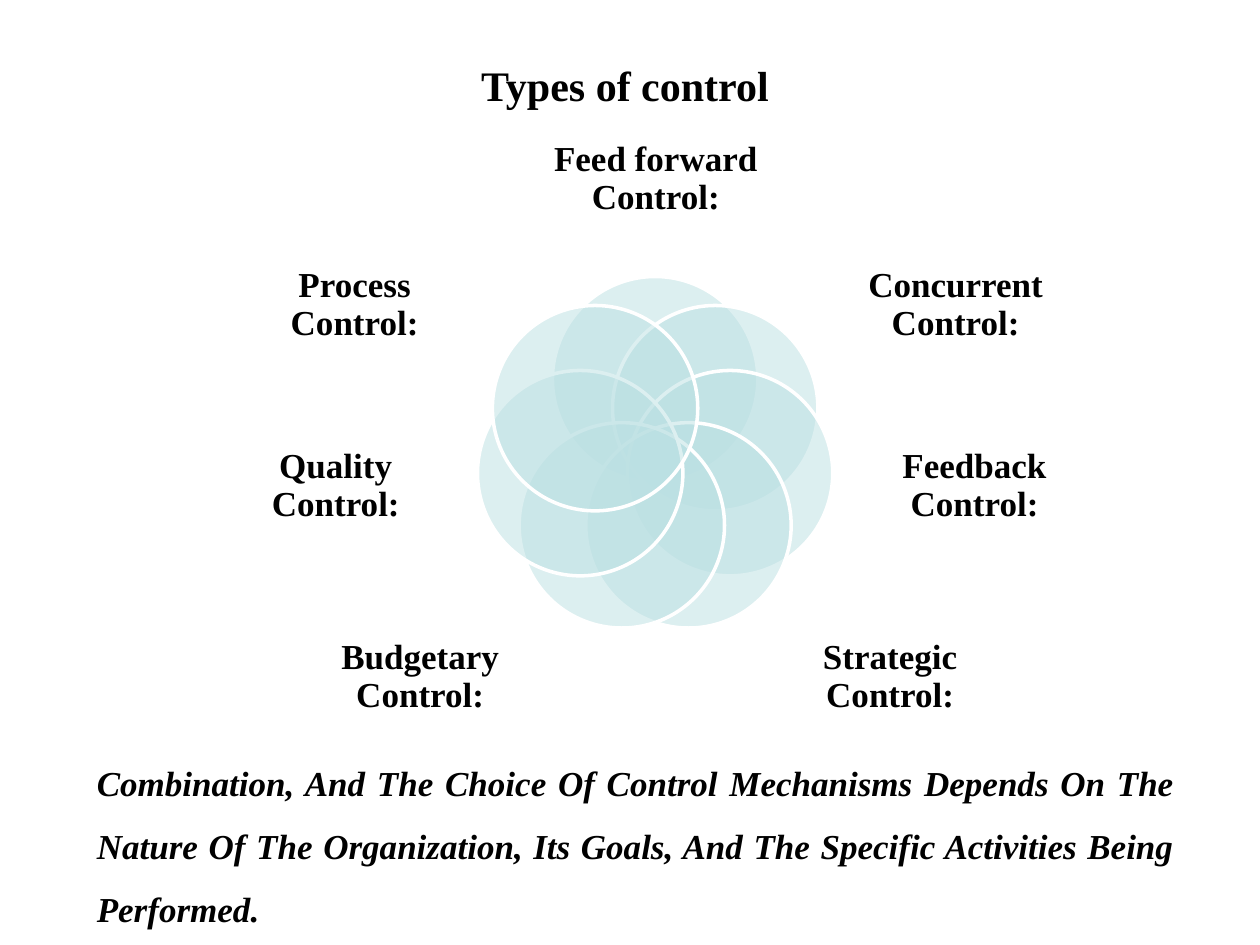
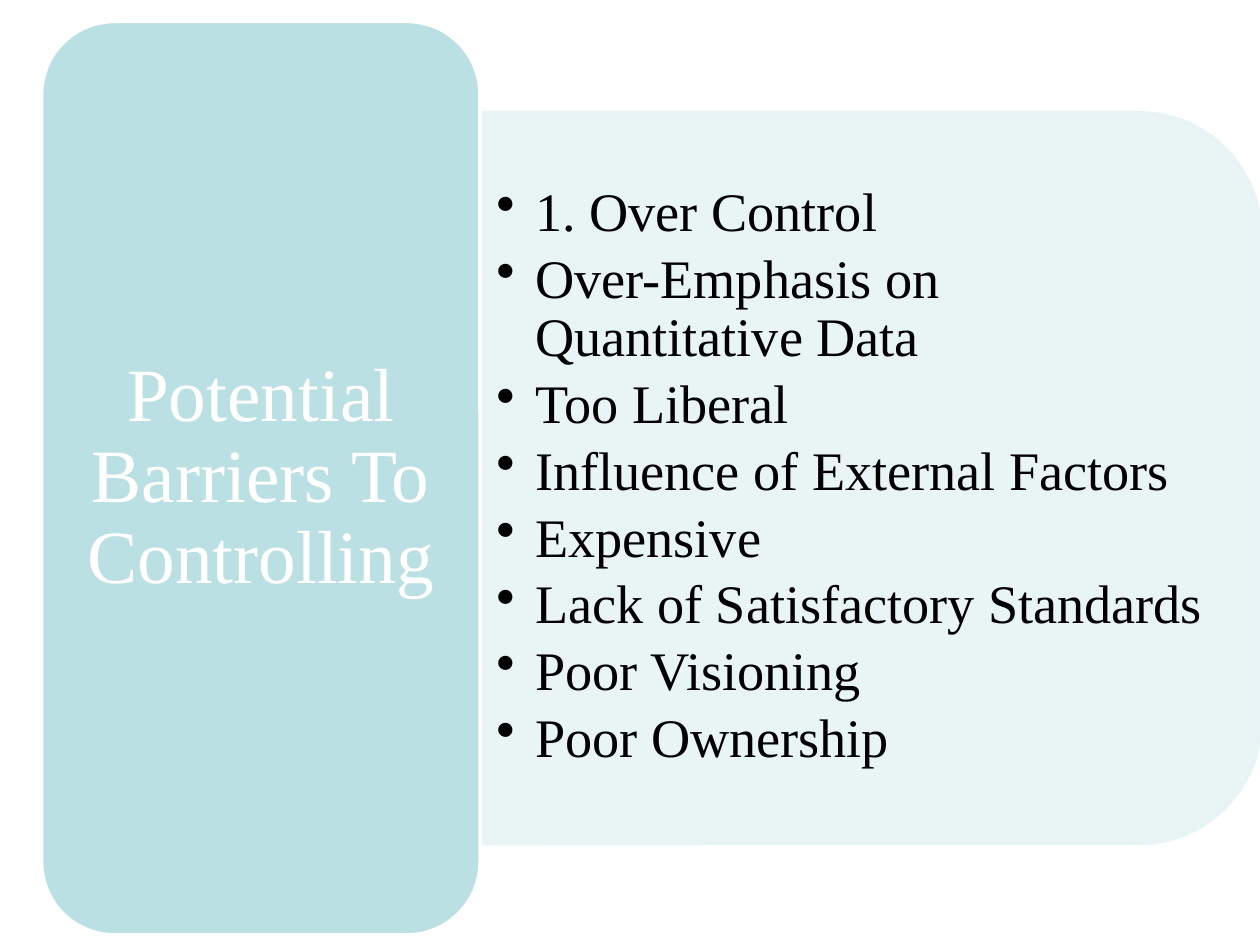
import math
from dataclasses import dataclass

from lxml import etree
from pptx import Presentation
from pptx.dml.color import RGBColor
from pptx.enum import shapes, text
from pptx.oxml.ns import qn
from pptx.util import Inches, Pt


@dataclass(frozen=True)
class Theme:
    font: str = "Times New Roman"
    ink: str = "000000"
    white: str = "FFFFFF"
    aqua: str = "BBE0E3"
    mist: str = "E7F3F4"
    title: int = 24
    body: int = 20
    bullets: int = 31
    panel: int = 43
    outline: int = 2
    tight: float = 0.9


theme = Theme()
Kind = shapes.MSO_SHAPE
Align = text.PP_ALIGN


def add_text(page, lines, place, *, size, color=theme.ink, bold=False, italic=False,
             align=Align.CENTER, spacing=1.0, after=0, middle=True,
             insets=(0, 0), indent=0, grow=False):
    """Add a text box; insets are (horizontal, vertical), a nonzero indent adds bullets."""
    box = page.shapes.add_textbox(*map(Inches, place))
    frame = box.text_frame
    frame.word_wrap = True
    frame.auto_size = text.MSO_AUTO_SIZE.SHAPE_TO_FIT_TEXT if grow else text.MSO_AUTO_SIZE.NONE
    frame.vertical_anchor = text.MSO_ANCHOR.MIDDLE if middle else text.MSO_ANCHOR.TOP
    frame.margin_left = frame.margin_right = Inches(insets[0])
    frame.margin_top = frame.margin_bottom = Inches(insets[1])
    for index, line in enumerate(lines):
        para = frame.paragraphs[0] if index == 0 else frame.add_paragraph()
        para.alignment = align
        para.line_spacing = spacing
        para.space_after = Pt(after)
        span = para.add_run()
        span.text = line
        span.font.name = theme.font
        span.font.size = Pt(size)
        span.font.bold = bold
        span.font.italic = italic
        span.font.color.rgb = RGBColor.from_string(color)
        if indent:
            props = para._p.get_or_add_pPr()
            props.set("marL", str(Inches(indent)))
            props.set("indent", str(-Inches(indent)))
            etree.SubElement(props, qn("a:buChar"), char="•")


def add_panel(page, kind, place, *, fill, line=theme.white, opacity=100, line_opacity=100):
    """Add an outlined shape without shadow; opacities are percentages."""
    shape = page.shapes.add_shape(kind, *map(Inches, place))
    shape.shadow.inherit = False
    shape.fill.solid()
    shape.line.width = Pt(theme.outline)
    for paint, color, percent in ((shape.fill.fore_color, fill, opacity),
                                  (shape.line.color, line, line_opacity)):
        paint.rgb = RGBColor.from_string(color)
        if percent < 100:
            tint = paint._xFill.find(qn("a:srgbClr"))
            etree.SubElement(tint, qn("a:alpha"), val=str(percent * 1000))
    return shape


deck = Presentation()
deck.slide_width, deck.slide_height = Inches(10), Inches(7.5)
blank = deck.slide_layouts[6]

# Types of control: a ring of overlapping circles with a label beside each
page = deck.slides.add_slide(blank)
add_text(page, ["Types of control"], (0, 0.42, 9.92, 0.5), size=theme.title, bold=True,
         middle=False, insets=(0.1, 0.05), grow=True)

center_x, center_y = 5.2, 3.62
ring_radius, diameter = 0.61, 1.63
top_label = (4.27, 0.92, 1.87, 1)
right_labels = [(6.7, 1.87, 1.77, 1.1), (6.87, 3.27, 1.73, 1.18), (6.13, 4.84, 1.87, 1.07)]
left_labels = [(2 * center_x - left - width, top, width, height)
               for left, top, width, height in reversed(right_labels)]
label_places = [top_label, *right_labels, *left_labels]
controls = ["Feed forward", "Concurrent", "Feedback", "Strategic",
            "Budgetary", "Quality", "Process"]

for index, (control, label_place) in enumerate(zip(controls, label_places)):
    angle = 2 * math.pi * index / len(controls)
    left = center_x + ring_radius * math.sin(angle) - diameter / 2
    top = center_y - ring_radius * math.cos(angle) - diameter / 2
    add_panel(page, Kind.OVAL, (left, top, diameter, diameter), fill=theme.aqua, opacity=50)
    add_text(page, [f"{control} Control:"], label_place, size=theme.body, bold=True,
             spacing=theme.tight)

add_text(page, ["Combination, And The Choice Of Control Mechanisms Depends On The Nature Of "
                "The Organization, Its Goals, And The Specific Activities Being Performed."],
         (0.67, 5.83, 8.75, 2.12), size=theme.body, bold=True, italic=True,
         align=Align.JUSTIFY, spacing=1.5, middle=False, insets=(0.1, 0.05), grow=True)

# Potential barriers: a heading panel with a list panel to its right
page = deck.slides.add_slide(blank)
list_panel = add_panel(page, Kind.ROUND_2_SAME_RECTANGLE, (4.01, 0.7, 5.8, 6.19),
                       fill=theme.mist, line=theme.mist, opacity=90, line_opacity=90)
list_panel.rotation = 90
barriers = ["1. Over Control", "Over-Emphasis on Quantitative Data", "Too Liberal",
            "Influence of External Factors", "Expensive", "Lack of Satisfactory Standards",
            "Poor Visioning", "Poor Ownership"]
add_text(page, barriers, (3.81, 1.17, 5.9, 5.23), size=theme.bullets, align=Align.LEFT,
         spacing=theme.tight, after=4.65, insets=(0.13, 0.06), indent=0.31)

add_panel(page, Kind.ROUNDED_RECTANGLE, (0.33, 0.17, 3.48, 7.25), fill=theme.aqua)
add_text(page, ["Potential Barriers To Controlling"], (0.5, 0.34, 3.14, 6.91),
         size=theme.panel, color=theme.white, spacing=theme.tight, insets=(0.18, 0.09))

deck.save("out.pptx")
